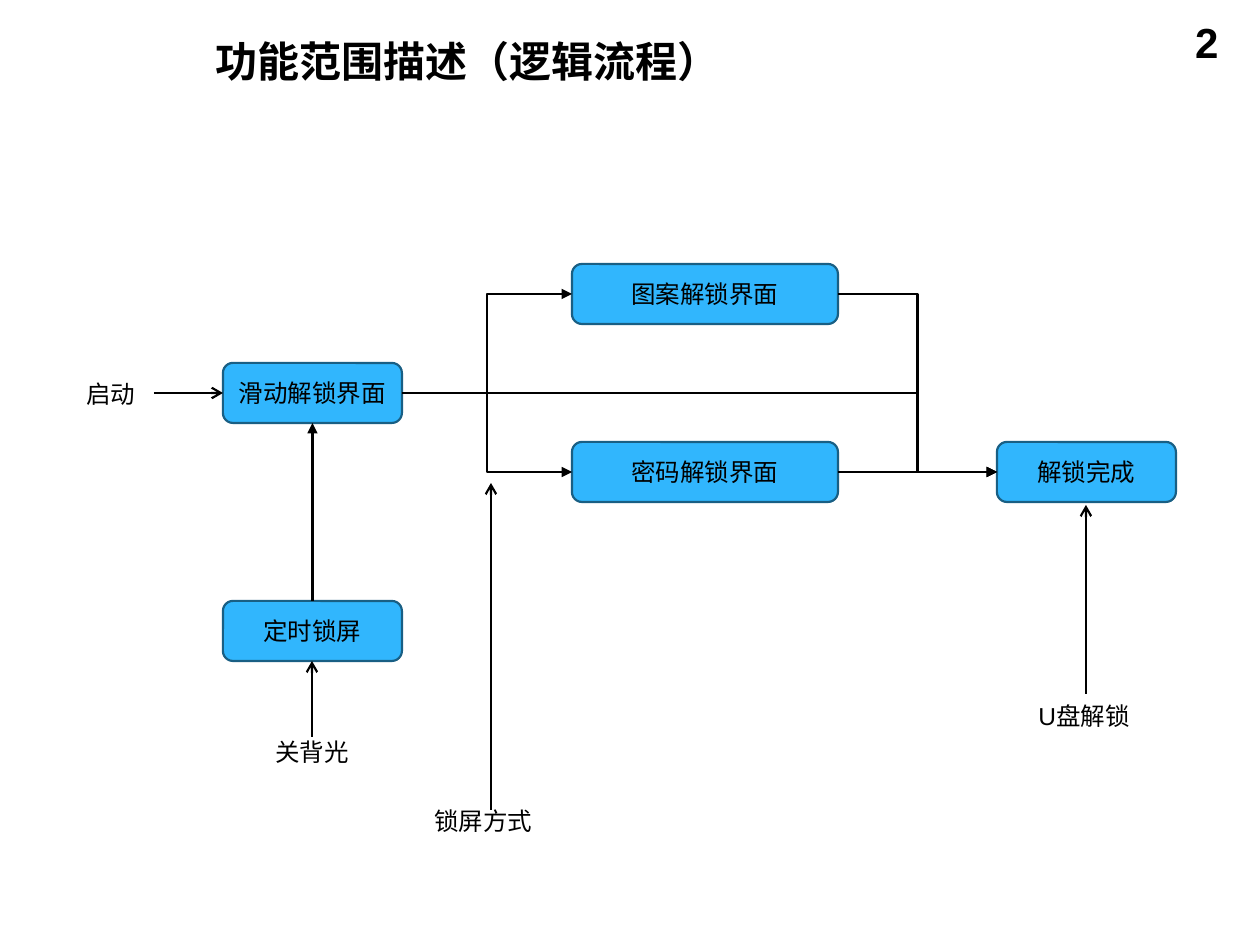
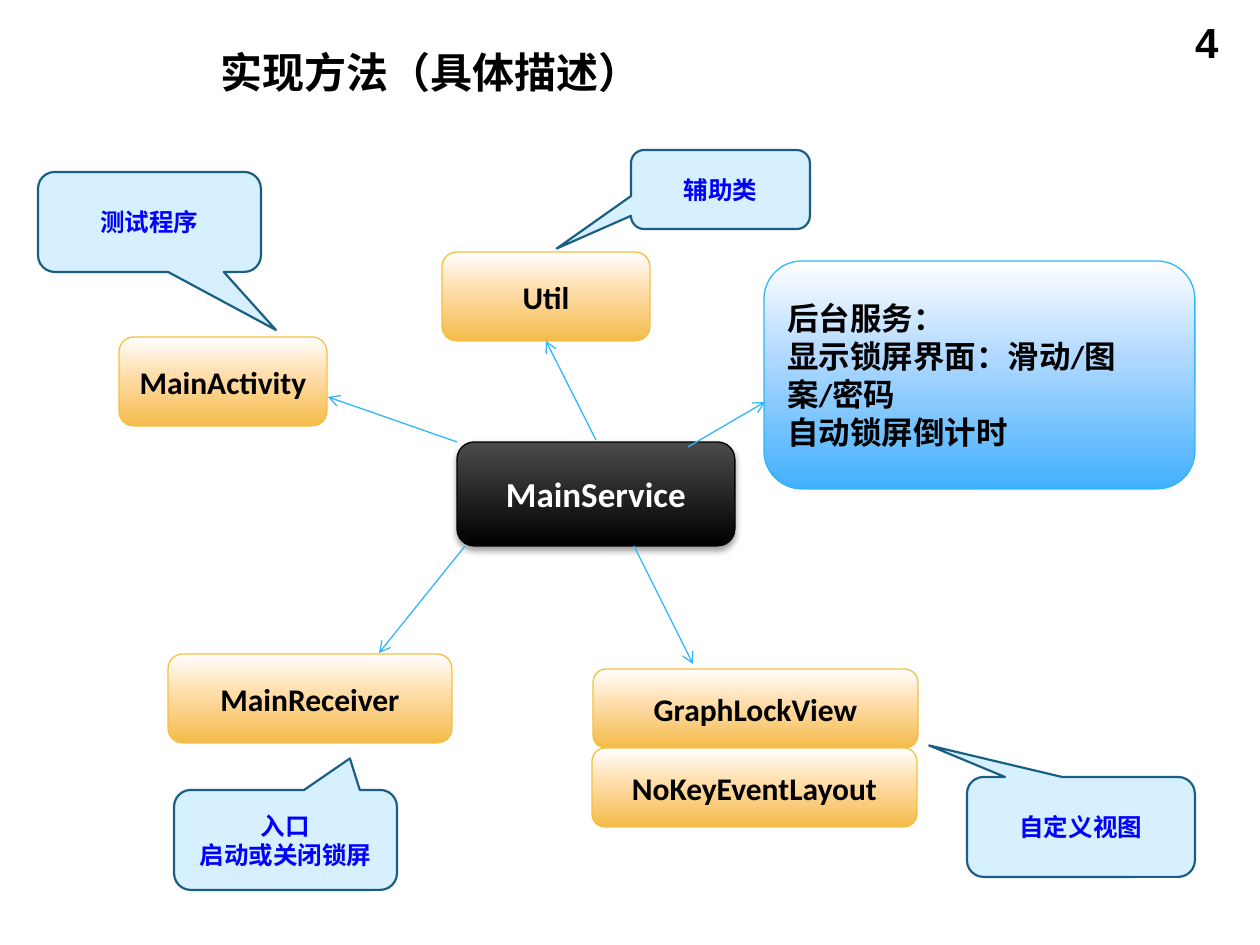
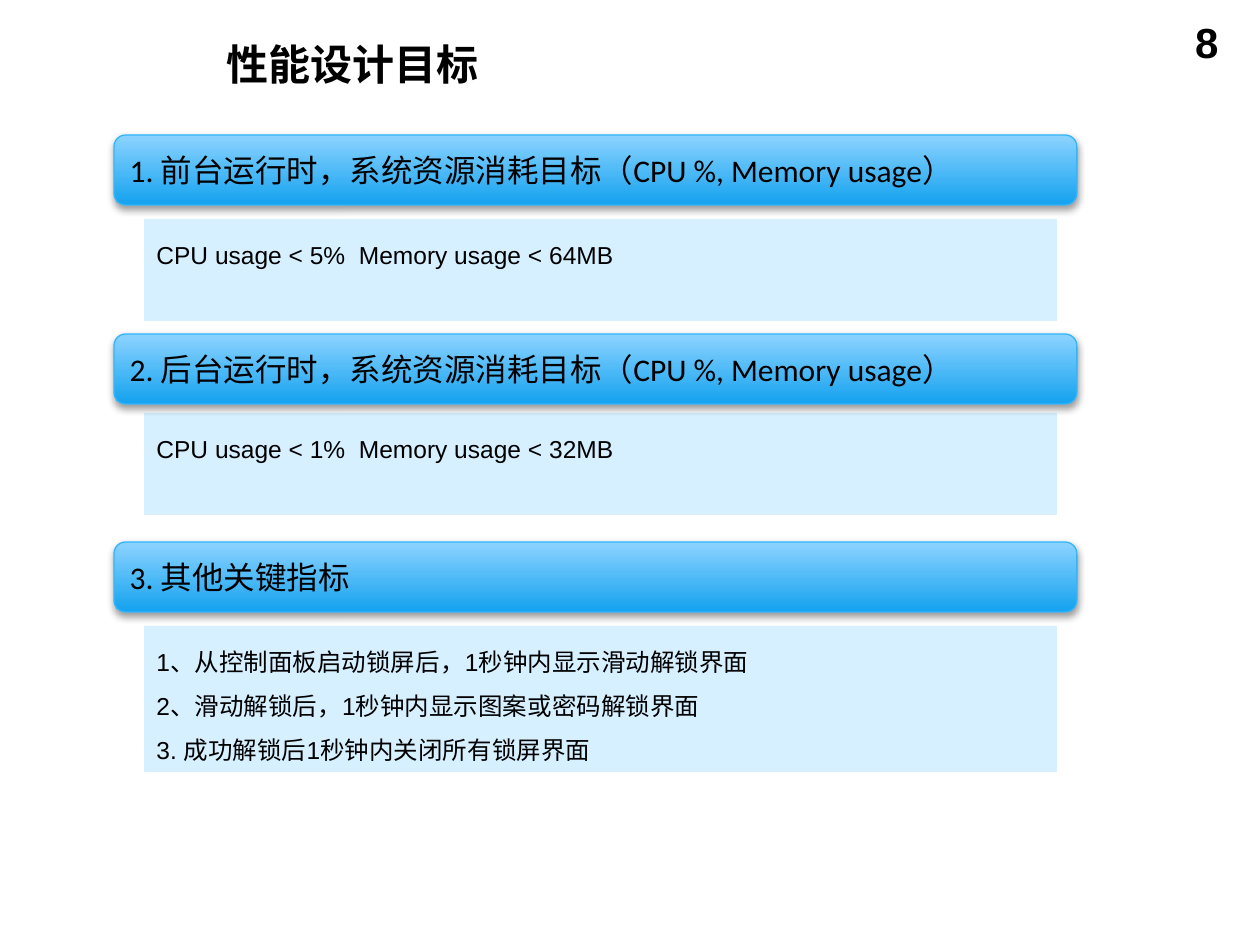
from lxml import etree
from pptx import Presentation
from pptx import util as u
from pptx.dml.color import RGBColor
from pptx.enum import shapes, text
from pptx.oxml import ns

# ---- shared look ----
PX = 914400 // 126
BLACK, WHITE, BLUE, DEEP, PALE, LINK = (
    "000000", "FFFFFF", "31B6FD", "195F84", "D6F0FF", "0000FF")
GOLD_LINE = "F5C040"
GOLD = [(0, "FFFFFF"), (44, "FFDDAA"), (100, "F4BB4A")]
SKY = [(0, "FFFFFF"), (44, "ACD7FF"), (100, "42B0FD")]
DARK = [(0, "4B4B4B"), (100, "000000")]
BAND = [(0, "8CD3FF"), (100, "14A2EF")]
ROUND = shapes.MSO_SHAPE.ROUNDED_RECTANGLE
RECT = shapes.MSO_SHAPE.RECTANGLE
CALLOUT = shapes.MSO_SHAPE.ROUNDED_RECTANGULAR_CALLOUT
LEFT, CENTER, RIGHT = text.PP_ALIGN.LEFT, text.PP_ALIGN.CENTER, text.PP_ALIGN.RIGHT
TOP, MIDDLE = text.MSO_ANCHOR.TOP, text.MSO_ANCHOR.MIDDLE
SITE = {"top": 0, "left": 1, "bottom": 2, "right": 3}

# ---- slide 1: unlock flow ----
FLOW_H = 60
FLOW_BOXES = {  # name: text, left, top, width
    "pattern": ("图案解锁界面", 572, 264, 266),
    "password": ("密码解锁界面", 572, 442, 266),
    "slide": ("滑动解锁界面", 223, 363, 179),
    "done": ("解锁完成", 997, 442, 179),
    "timer": ("定时锁屏", 223, 601, 179),
}
FLOW_LINKS = [  # from, side, to, side, elbow position (None is straight)
    ("slide", "right", "pattern", "left", 0.5),
    ("slide", "right", "password", "left", 0.5),
    ("password", "right", "done", "left", None),
    ("pattern", "right", "done", "left", 0.5),
    ("slide", "right", "done", "left", 0.868),
    ("timer", "top", "slide", "bottom", None),
]
FLOW_LABELS = [  # text, left, top, width
    ("启动", 74, 373, 80),
    ("U盘解锁", 1026, 695, 124),
    ("关背光", 263, 731, 110),
    ("锁屏方式", 422, 800, 131),
]
FLOW_ARROWS = [
    (154, 393, 223, 393), (1086, 694, 1086, 505),
    (312, 737, 312, 661), (491, 810, 491, 483),
]

# ---- slide 2: classes around the service ----
CLASSES = [
    ("GraphLockView", 593, 669, 325, 79),
    ("NoKeyEventLayout", 592, 748, 325, 79),
    ("MainActivity", 119, 337, 208, 89),
    ("MainReceiver", 168, 654, 284, 89),
    ("Util", 442, 252, 208, 89),
]
SERVICE = ("MainService", 457, 442, 278, 104)
SERVICE_NOTE = (["后台服务：", "显示锁屏界面：滑动/图案/密码", "自动锁屏倒计时"],
                764, 261, 431, 228)
CLASS_ARROWS = [
    (634, 546, 693, 664), (457, 442, 328, 397), (465, 546, 379, 653),
    (688, 447, 765, 402), (596, 440, 546, 341),
]
CALLOUTS = [  # text, left, top, width, height, tip offset
    ("自定义视图", 967, 777, 228, 100, (-0.666, -0.815)),
    ("测试程序", 38, 172, 223, 100, (0.567, 1.08)),
    ("入口\v启动或关闭锁屏", 174, 790, 223, 100, (0.289, -0.815)),
    ("辅助类", 631, 150, 179, 79, (-0.915, 0.747)),
]

# ---- slide 3: targets ----
TARGETS = [  # heading, top, lines, panel top, panel height
    ("1. 前台运行时，系统资源消耗目标（CPU %, Memory usage） ", 135,
     ["CPU usage < 5%  Memory usage < 64MB"], 219, 102),
    ("2. 后台运行时，系统资源消耗目标（CPU %, Memory usage） ", 334,
     ["CPU usage < 1%  Memory usage < 32MB"], 413, 102),
    ("3. 其他关键指标", 542,
     ["1、从控制面板启动锁屏后，1秒钟内显示滑动解锁界面",
      "2、滑动解锁后，1秒钟内显示图案或密码解锁界面",
      "3. 成功解锁后1秒钟内关闭所有锁屏界面"], 626, 146),
]


# ---- helpers ----
def rgb(value):
    return RGBColor.from_string(value)


def px(*values):
    return [u.Emu(round(v * PX)) for v in values]


def sub(parent, tag, **attrs):
    return etree.SubElement(parent, ns.qn(tag), {k: str(v) for k, v in attrs.items()})


def write(sp, lines, size=14, font="Calibri", color=BLACK, bold=False,
          align=CENTER, anchor=MIDDLE, spacing=None):
    tf = sp.text_frame
    tf.word_wrap = True
    tf.auto_size = text.MSO_AUTO_SIZE.NONE
    tf.vertical_anchor = anchor
    for i, line in enumerate([lines] if isinstance(lines, str) else lines):
        p = tf.paragraphs[0] if i == 0 else tf.add_paragraph()
        p.text = line
        p.alignment = align
        if spacing:
            p.line_spacing = spacing
        for r in p.runs:
            f = r.font
            f.size, f.name, f.bold = u.Pt(size), font, bold
            f.color.rgb = rgb(color)


def label(s, lines, x, y, w, h, **fmt):
    write(s.shapes.add_textbox(*px(x, y, w, h)), lines, **fmt)


def box(s, kind, lines, x, y, w, h, fill, line=None, width=0.75, shadow=False, **fmt):
    """Preset shape; fill is one colour or a list of gradient stops."""
    sp = s.shapes.add_shape(kind, *px(x, y, w, h))
    sp.shadow.inherit = False
    spPr = sp._element.spPr
    if isinstance(fill, str):
        sp.fill.solid()
        sp.fill.fore_color.rgb = rgb(fill)
    else:
        sp.fill.gradient()
        sp.fill.gradient_angle = 270
        stops = spPr.find(".//" + ns.qn("a:gsLst"))
        for gs in list(stops):
            stops.remove(gs)
        for pos, color in fill:
            sub(sub(stops, "a:gs", pos=pos * 1000), "a:srgbClr", val=color)
    if line:
        sp.line.color.rgb = rgb(line)
        sp.line.width = u.Pt(width)
    else:
        sp.line.fill.background()
    if shadow:
        sh = sub(spPr.find(ns.qn("a:effectLst")), "a:outerShdw", blurRad=u.Pt(4),
                 dist=u.Pt(2), dir=5400000, rotWithShape=0)
        sub(sub(sh, "a:srgbClr", val=BLACK), "a:alpha", val=38000)
    write(sp, lines, **fmt)
    return sp


def connect(s, ends=(0, 0, 0, 0), color=BLACK, width=1.25, head="arrow",
            glue=None, bend=None):
    """Arrow between two points, or glued to (shape, site) pairs."""
    kind = shapes.MSO_CONNECTOR.ELBOW if bend else shapes.MSO_CONNECTOR.STRAIGHT
    c = s.shapes.add_connector(kind, *px(*ends))
    if glue:
        c.begin_connect(*glue[0])
        c.end_connect(*glue[1])
    c.line.color.rgb = rgb(color)
    c.line.width = u.Pt(width)
    spPr = c._element.spPr
    sub(spPr.find(ns.qn("a:ln")), "a:tailEnd", type=head)
    sub(spPr, "a:effectLst")
    if bend:
        guides = spPr.find(".//" + ns.qn("a:avLst"))
        if guides is None:
            guides = sub(spPr.find(ns.qn("a:prstGeom")), "a:avLst")
        sub(guides, "a:gd", name="adj1", fmla=f"val {round(bend * 100000)}")


def new_slide(title, number, x, y, w, h, font="Calibri", anchor=MIDDLE):
    s = prs.slides.add_slide(prs.slide_layouts[5])
    sp = s.shapes.title
    sp.left, sp.top, sp.width, sp.height = px(x, y, w, h)
    write(sp, title, size=24, font=font, bold=True, align=LEFT, anchor=anchor)
    label(s, number, 937, 10, 294, 66, size=24, font="Arial", bold=True,
          align=RIGHT, anchor=TOP)
    return s


prs = Presentation()
prs.slide_width, prs.slide_height = u.Inches(10), u.Inches(7.5)

# slide 1
s = new_slide("功能范围描述（逻辑流程）", "2", 203, 26, 1032, 69, font="Arial")
nodes = {name: box(s, ROUND, words, x, y, w, FLOW_H, BLUE, DEEP, 1.25)
         for name, (words, x, y, w) in FLOW_BOXES.items()}
for start, side, end, end_side, bend in FLOW_LINKS:
    connect(s, head="triangle", bend=bend,
            glue=((nodes[start], SITE[side]), (nodes[end], SITE[end_side])))
for words, x, y, w in FLOW_LABELS:
    label(s, words, x, y, w, 43, font="Arial", align=LEFT, anchor=TOP)
for ends in FLOW_ARROWS:
    connect(s, ends)

# slide 2
s = new_slide("实现方法（具体描述）", "4", 208, 38, 989, 68)
box(s, ROUND, *SERVICE, DARK, BLACK, shadow=True, size=20, color=WHITE, bold=True)
for item in CLASSES:
    box(s, ROUND, *item, GOLD, GOLD_LINE, size=18, bold=True)
box(s, ROUND, *SERVICE_NOTE, SKY, BLUE, size=18, bold=True, align=LEFT)
for ends in CLASS_ARROWS:
    connect(s, ends, color=BLUE, width=0.75)
for *item, tip in CALLOUTS:
    sp = box(s, CALLOUT, *item, PALE, DEEP, 1.25, color=LINK, bold=True)
    sp.adjustments[0], sp.adjustments[1] = tip

# slide 3
s = new_slide("性能设计目标", "8", 214, 32, 961, 63, anchor=TOP)
for heading, y, lines, panel_y, panel_h in TARGETS:
    box(s, RECT, lines, 144, panel_y, 913, panel_h, PALE, font="Arial",
        align=LEFT, anchor=TOP, spacing=1.5)
    box(s, ROUND, heading, 114, y, 963, 70, BAND, BLUE, shadow=True, size=18, align=LEFT)

prs.save("out.pptx")
